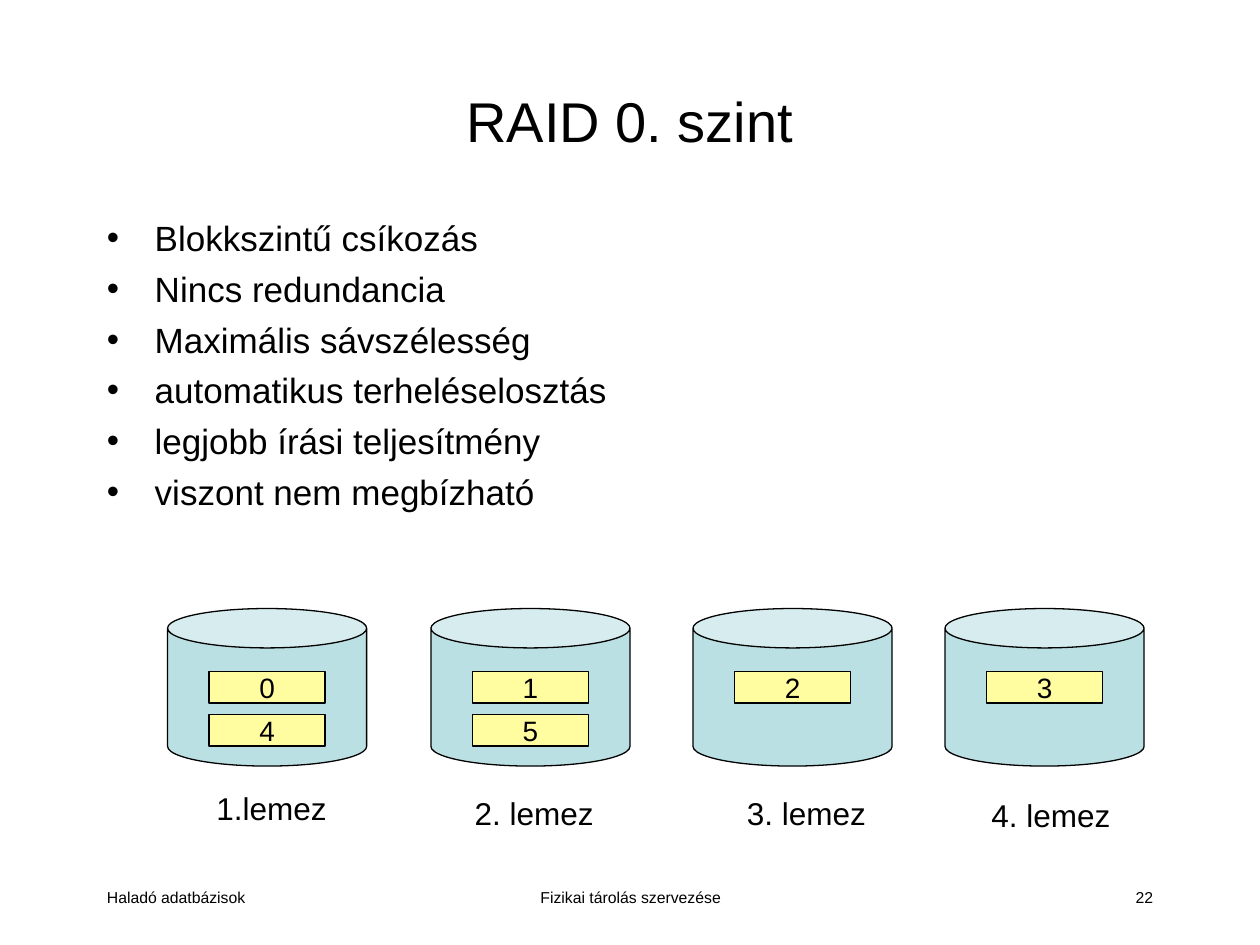
"""Builds a slide on RAID level 0 with four striped disks."""
from lxml import etree
from pptx import Presentation
from pptx.dml.color import RGBColor
from pptx.enum.shapes import MSO_SHAPE
from pptx.enum.text import MSO_ANCHOR, MSO_AUTO_SIZE, PP_ALIGN
from pptx.oxml.ns import qn
from pptx.util import Inches, Pt

LEFT, CENTER, RIGHT = PP_ALIGN.LEFT, PP_ALIGN.CENTER, PP_ALIGN.RIGHT
TOP, MIDDLE = MSO_ANCHOR.TOP, MSO_ANCHOR.MIDDLE
CAN, RECTANGLE = MSO_SHAPE.CAN, MSO_SHAPE.RECTANGLE

FONT = "Arial"
COLORS = {"ink": "000000", "disk": "BBE0E3", "block": "FFFDA0"}

TITLE = "RAID 0. szint"
POINTS = [
    "Blokkszintű csíkozás",
    "Nincs redundancia",
    "Maximális sávszélesség",
    "automatikus terheléselosztás",
    "legjobb írási teljesítmény",
    "viszont nem megbízható",
]
DISKS = [
    {"left": 1.33, "blocks": ["0", "4"], "label": "1.lemez", "label_at": (1.6, 6.21, 1.11, 0.4)},
    {"left": 3.42, "blocks": ["1", "5"], "label": "2. lemez", "label_at": (3.65, 6.25, 1.18, 0.4)},
    {"left": 5.5, "blocks": ["2"], "label": "3. lemez", "label_at": (5.81, 6.25, 1.18, 0.4)},
    {"left": 7.5, "blocks": ["3"], "label": "4. lemez", "label_at": (7.75, 6.27, 1.18, 0.4)},
]
FOOTERS = [
    ("Haladó adatbázisok", 0.75, 2.08, LEFT),
    ("Fizikai tárolás szervezése", 3.42, 3.17, CENTER),
    ("22", 7.17, 2.08, RIGHT),
]

DISK_TOP, DISK_WIDTH, DISK_HEIGHT = 4.83, 1.58, 1.25
BLOCK_TOP, BLOCK_WIDTH, BLOCK_HEIGHT, BLOCK_STEP = 5.33, 0.92, 0.25, 0.34


def color(name):
    return RGBColor.from_string(COLORS[name])


def write(shape, text, size, align=CENTER, anchor=TOP, wrap=True):
    frame = shape.text_frame
    frame.text = text
    frame.word_wrap = wrap
    frame.vertical_anchor = anchor
    for para in frame.paragraphs:
        para.alignment = align
        for span in para.runs:
            span.font.name = FONT
            span.font.size = Pt(size)
            span.font.color.rgb = color("ink")
    return frame


def add_text(page, at, text, size, **style):
    box = page.shapes.add_textbox(*map(Inches, at))
    return write(box, text, size, **style)


def add_solid(page, kind, at, fill):
    shape = page.shapes.add_shape(kind, *map(Inches, at))
    shape.shadow.inherit = False
    shape.fill.solid()
    shape.fill.fore_color.rgb = color(fill)
    shape.line.color.rgb = color("ink")
    shape.line.width = Pt(0.75)
    return shape


def add_bullet(para):
    para.space_before = Pt(5)
    properties = para._p.get_or_add_pPr()
    properties.set("marL", str(Inches(0.38)))
    properties.set("indent", str(Inches(-0.38)))
    etree.SubElement(properties, qn("a:buFont"), typeface=FONT)
    etree.SubElement(properties, qn("a:buChar"), char="•")


def add_disk(page, disk):
    can_at = (disk["left"], DISK_TOP, DISK_WIDTH, DISK_HEIGHT)
    add_solid(page, CAN, can_at, "disk").adjustments[0] = 0.25
    block_left = disk["left"] + (DISK_WIDTH - BLOCK_WIDTH) / 2
    for row, number in enumerate(disk["blocks"]):
        block_at = (block_left, BLOCK_TOP + row * BLOCK_STEP, BLOCK_WIDTH, BLOCK_HEIGHT)
        block = add_solid(page, RECTANGLE, block_at, "block")
        write(block, number, 16, anchor=MIDDLE, wrap=False)
    label = add_text(page, disk["label_at"], disk["label"], 18, wrap=False)
    label.auto_size = MSO_AUTO_SIZE.SHAPE_TO_FIT_TEXT


def main():
    deck = Presentation()
    deck.slide_width, deck.slide_height = Inches(10), Inches(7.5)
    page = deck.slides.add_slide(deck.slide_layouts[6])

    for text, left, width, align in FOOTERS:
        add_text(page, (left, 7, width, 0.33), text, 9, align=align)
    add_text(page, (0.75, 0.33, 8.5, 1.25), TITLE, 32, anchor=MIDDLE)
    body = add_text(page, (0.75, 1.67, 8.5, 5.17), "\n".join(POINTS), 20, align=LEFT)
    for para in body.paragraphs:
        add_bullet(para)
    for disk in DISKS:
        add_disk(page, disk)

    deck.save("out.pptx")


if __name__ == "__main__":
    main()
